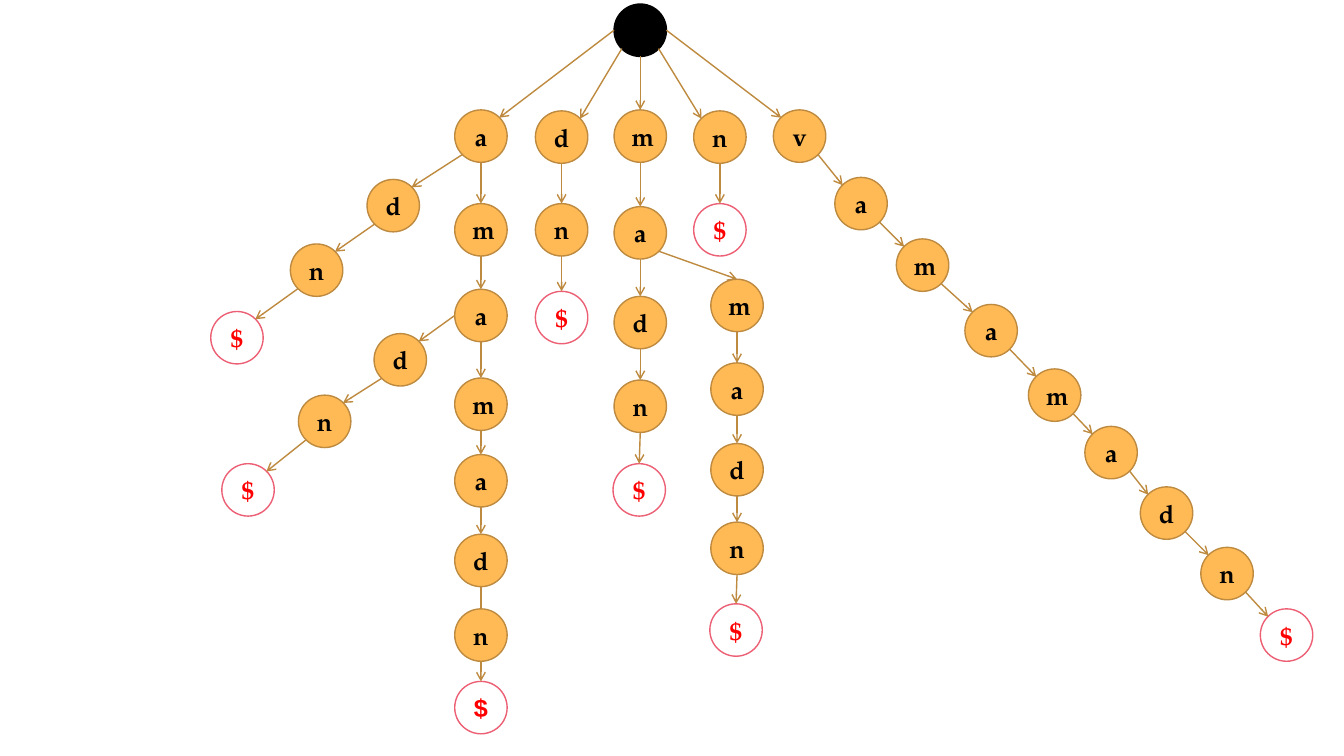
import pptx
import pptx.util
import pptx.dml.color
import pptx.enum.shapes
import pptx.enum.text
import pptx.oxml.ns
from lxml import etree

COLORS = {"root": "000000", "node": "FFBA55", "edge": "BD8A3F", "end": "FFFFFF",
          "end_line": "EC5F74", "letter": "000000", "end_letter": "FF0000"}
SIZE = 0.52
ROOT = (6.09, 0.04)
FONT = {"name": "TeX Gyre Pagella", "size": pptx.util.Pt(18), "bold": True}
FONT_NAMES = {"amamadn$": "Arial"}
PLAIN_EDGES = {"amamadn"}

SITES = {"top": (0.5, 0), "left": (0, 0.5), "bottom": (0.5, 1), "right": (1, 0.5),
         "top left": (0.15, 0.15), "top right": (0.85, 0.15),
         "bottom left": (0.15, 0.85), "bottom right": (0.85, 0.85)}
DOWN = ("bottom", "top")
LEFT = ("bottom left", "top right")
RIGHT = ("bottom right", "top left")

BRANCHES = [
    ("", "a", ("left", "top right"), DOWN, [(4.51, 1.09)]),
    ("a", "dn$", LEFT, LEFT, [(3.64, 1.78), (2.88, 2.42), (2.09, 3.09)]),
    ("a", "mamadn$", DOWN, DOWN,
     [(4.51, y) for y in (2.02, 2.87, 3.75, 4.51, 5.3, 6.04, 6.76)]),
    ("ama", "dn$", ("left", "top right"), LEFT,
     [(3.71, 3.31), (2.96, 3.92), (2.2, 4.6)]),
    ("", "dn$", LEFT, DOWN, [(5.31, y) for y in (1.1, 2.02, 2.89)]),
    ("", "madn$", DOWN, DOWN,
     [(6.09, 1.09), (6.09, 2.05), (6.09, 2.94), (6.09, 3.77), (6.08, 4.6)]),
    ("ma", "madn$", ("bottom right", "top"), DOWN,
     [(7.05, 2.77), (7.05, 3.6), (7.05, 4.4), (7.05, 5.18), (7.04, 5.99)]),
    ("", "n$", RIGHT, DOWN, [(6.88, 1.1), (6.88, 2.02)]),
    ("", "vamamadn$", ("right", "top left"), RIGHT,
     [(7.67, 1.09), (8.28, 1.76), (8.89, 2.37), (9.57, 3.02), (10.2, 3.66),
      (10.76, 4.23), (11.31, 4.83), (11.91, 5.43), (12.5, 6.04)]),
]


def rgb(name):
    return pptx.dml.color.RGBColor.from_string(COLORS[name])


def add_node(s, pos, fill, line, text="", color="letter", font=FONT):
    x, y = map(pptx.util.Inches, pos)
    d = pptx.util.Inches(SIZE)
    sp = s.shapes.add_shape(pptx.enum.shapes.MSO_SHAPE.OVAL, x, y, d, d)
    sp.shadow.inherit = False
    sp.fill.solid()
    sp.fill.fore_color.rgb = rgb(fill)
    sp.line.color.rgb = rgb(line)
    sp.line.width = pptx.util.Pt(1)
    if text:
        tf = sp.text_frame
        tf.vertical_anchor = pptx.enum.text.MSO_ANCHOR.MIDDLE
        p = tf.paragraphs[0]
        p.alignment = pptx.enum.text.PP_ALIGN.CENTER
        r = p.add_run()
        r.text = text
        for key, value in font.items():
            setattr(r.font, key, value)
        r.font.color.rgb = rgb(color)


def site_point(pos, site):
    return [pptx.util.Inches(p + SIZE * f) for p, f in zip(pos, SITES[site])]


def add_edge(s, start, end, sites, arrow):
    c = s.shapes.add_connector(pptx.enum.shapes.MSO_CONNECTOR.STRAIGHT,
                               *site_point(start, sites[0]), *site_point(end, sites[1]))
    c.line.color.rgb = rgb("edge")
    c.line.width = pptx.util.Pt(1)
    if arrow:
        ln = c.line._get_or_add_ln()
        etree.SubElement(ln, pptx.oxml.ns.qn("a:tailEnd"), type="arrow")
    etree.SubElement(c._element.spPr, pptx.oxml.ns.qn("a:effectLst"))


def main():
    prs = pptx.Presentation()
    prs.slide_width = pptx.util.Inches(13.33)
    prs.slide_height = pptx.util.Inches(7.5)
    s = prs.slides.add_slide(prs.slide_layouts[6])

    places = {"": ROOT}
    edges = {}
    for parent, letters, first, rest, positions in BRANCHES:
        for i, (letter, pos) in enumerate(zip(letters, positions)):
            parent += letter
            places[parent] = pos
            edges[parent] = rest if i else first

    add_node(s, ROOT, "root", "root")
    for prefix in edges:
        font = {**FONT, "name": FONT_NAMES.get(prefix, FONT["name"])}
        if prefix.endswith("$"):
            look = ("end", "end_line", "$", "end_letter")
        else:
            look = ("node", "edge", prefix[-1], "letter")
        add_node(s, places[prefix], *look, font)
    for prefix, sites in edges.items():
        add_edge(s, places[prefix[:-1]], places[prefix], sites, prefix not in PLAIN_EDGES)

    prs.save("out.pptx")


if __name__ == "__main__":
    main()
